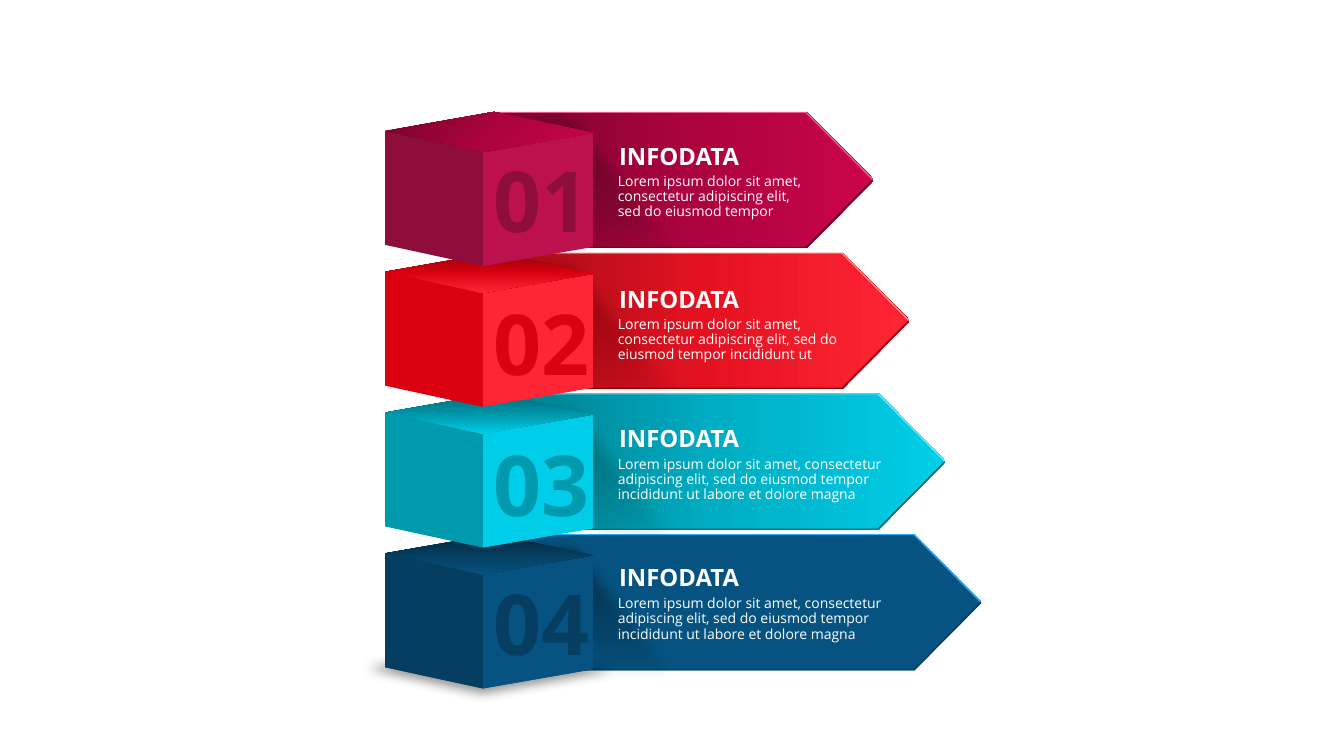
from lxml import etree
from pptx import Presentation
from pptx.dml.color import RGBColor
from pptx.oxml.ns import qn
from pptx.util import Inches, Pt

FONT = "Open Sans"
TITLE = "INFODATA"
LOREM = "Lorem ipsum dolor sit amet, consectetur adipiscing elit, sed do eiusmod tempor"
WHITE = "FFFFFF"

# Colours of each row; a gradient is a list of (position, colour)
WINE = {"arrow": [(0, "78022B"), (50, "AA033E"), (100, "CA0449")],
        "low": "5E0826", "high": "F0588D", "front": "BD114D", "side": "8E0D3A",
        "lid": [(0, "78022B"), (50, "AA033E"), (100, "CA0449")], "tilt": 45}
RED = {"arrow": [(0, "A00D17"), (50, "E41221"), (100, "FF2534")],
       "low": "91010B", "high": "FE7D86", "front": "FE2635", "side": "DA0110",
       "lid": [(0, "91010B"), (50, "DA0110"), (100, "FE2635")], "tilt": 90}
CYAN = {"arrow": [(0, "007A89"), (50, "00AEC4"), (100, "00CEE8")],
        "low": "006774", "high": "58ECFF", "front": "00CEE8", "side": "009AAE",
        "lid": [(0, "006774"), (55, "009AAE"), (100, "00CEE8")], "tilt": 90}
NAVY = {"arrow": "065381", "low": "053E61", "high": "28A8F5",
        "front": "065381", "side": "053E61", "shade": "032940",
        "lid": [(6, "032940"), (100, "065381")], "tilt": 90}

# number, colours, body, body width, then tops of shade, number, title, body
ROWS = [
    ("01", WINE, LOREM, 2.06, 1.09, 1.42, 1.41, 1.68),
    ("02", RED, LOREM + " incididunt ut", 2.4, 2.53, 2.84, 2.82, 3.1),
    ("03", CYAN, LOREM + " incididunt ut labore et dolore magna", 3, 3.96, 4.24, 4.2, 4.49),
    ("04", NAVY, LOREM + " incididunt ut labore et dolore magna", 3, 5.32, 5.62, 5.58, 5.87),
]

# Row grid
FIRST, LAST = 1.11, 5.3
STEP = (LAST - FIRST) / (len(ROWS) - 1)
TIP, GROW, HEAD = 8.66, 0.357, 0.66
TALL, EDGE = 1.35, 0.01

# Cube corners: x, and y below the top of the row
LEFT, EDGE_X, BACK, RIGHT = 3.82, 4.79, 4.9, 5.88
LID = [(BACK, 0), (RIGHT, 0.21), (EDGE_X, 0.4), (LEFT, 0.19)]
DEEP = 1.13

prs = Presentation()
prs.slide_width, prs.slide_height = Inches(13.33), Inches(7.5)
slide = prs.slides.add_slide(prs.slide_layouts[6])


def add(parent, tag, **attrs):
    return etree.SubElement(parent, qn("a:" + tag), {k: str(v) for k, v in attrs.items()})


def fade(shape, stops, angle):
    """Fill with a linear gradient; a stop may carry an opacity in percent."""
    shape.fill.background()
    props = shape._element.spPr
    grad = etree.Element(qn("a:gradFill"), rotWithShape="1")
    props.replace(props.find(qn("a:noFill")), grad)
    marks = add(grad, "gsLst")
    for pos, color, *alpha in stops:
        tint = add(add(marks, "gs", pos=pos * 1000), "srgbClr", val=color)
        if alpha:
            add(tint, "alpha", val=alpha[0] * 1000)
    add(grad, "lin", ang=angle * 60000, scaled=0)


def outline(points, fill, angle=0):
    spots = [(Inches(x), Inches(y)) for x, y in points]
    pen = slide.shapes.build_freeform(*spots[0])
    pen.add_line_segments(spots[1:], close=True)
    shape = pen.convert_to_shape()
    shape.line.fill.background()
    shape.shadow.inherit = False
    if isinstance(fill, str):
        shape.fill.solid()
        shape.fill.fore_color.rgb = RGBColor.from_string(fill)
    else:
        fade(shape, fill, angle)
    return shape


def effects(shape):
    return shape._element.spPr.find(qn("a:effectLst"))


def label(box, text, size, color, bold=False, wrap=False, inset=None, lead=None):
    frame = slide.shapes.add_textbox(*map(Inches, box)).text_frame
    frame.word_wrap = wrap
    if inset is not None:
        frame.margin_left = frame.margin_right = Inches(inset)
        frame.margin_top = frame.margin_bottom = Inches(inset)
    para = frame.paragraphs[0]
    para.text = text
    para.line_spacing = lead
    font = para.font
    font.name, font.size, font.bold = FONT, Pt(size), bold
    font.color.rgb = RGBColor.from_string(color)


def arrow(top, tip, hue):
    start, neck = 4.91, tip - HEAD
    base, mid = top + TALL, top + TALL / 2
    outline([(neck, top), (start, top), (start, base), (neck, base),
             (tip, mid + EDGE), (tip, mid - EDGE)], hue["arrow"])
    # Dark lower rim, bright upper rim
    for end, sign, color in ((base, -1, hue["low"]), (top, 1, hue["high"])):
        inner = end + sign * EDGE
        outline([(neck - EDGE, inner), (start, inner), (start, end), (neck, end),
                 (tip, mid - sign * EDGE), (tip - EDGE, mid)], color)


def shade(top, color):
    cast = outline([(7, top + 1.49), (5.82, top + 1.47), (5.03, top), (5.82, top)],
                   [(0, color), (100, color, 0)], 90)
    add(effects(cast), "softEdge", rad=Inches(0.14))


def cube(top, hue, ground):
    lid = [(x, top + y) for x, y in LID]
    floor = [(x, y + DEEP) for x, y in lid]
    if ground:
        base = outline(floor, hue["shade"])
        glow = add(effects(base), "outerShdw", blurRad=Pt(8), dist=Pt(1), dir=5400000,
                   sx=117000, sy=117000, algn="ctr", rotWithShape=0)
        add(add(glow, "srgbClr", val="000000"), "alpha", val=42000)
    outline([lid[1], floor[1], floor[2], lid[2]], hue["front"])
    outline([lid[2], floor[2], floor[3], lid[3]], hue["side"])
    outline(lid, hue["lid"], hue["tilt"])


# Blocks, stacked from the bottom row up
for i, (_, hue, _, _, dark, *_) in reversed(list(enumerate(ROWS))):
    top = FIRST + i * STEP
    arrow(top, TIP + i * GROW, hue)
    shade(dark, hue.get("shade", hue["low"]))
    cube(top, hue, i == len(ROWS) - 1)

# Numbers, titles and body texts
for num, hue, body, wide, _, num_y, head_y, body_y in ROWS:
    label((4.8, num_y, 1.16, 1.11), num, 60, hue["side"], bold=True)
    label((6.14, head_y, 1.2, 0.29), TITLE, 17, WHITE, bold=True, inset=0)
    label((6.03, body_y, wide, 0.63), body, 10, WHITE, wrap=True, lead=0.9)

prs.save("out.pptx")
